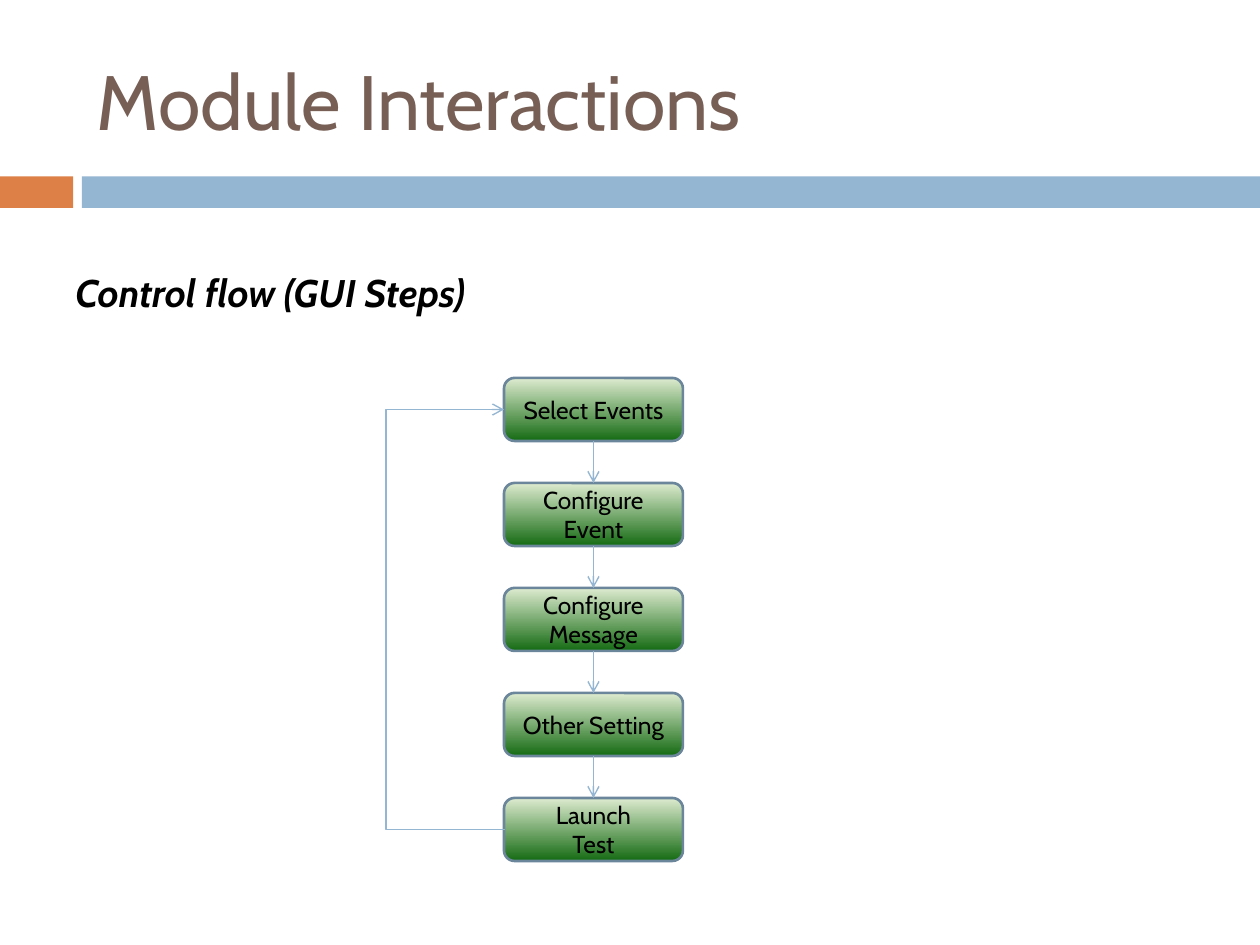
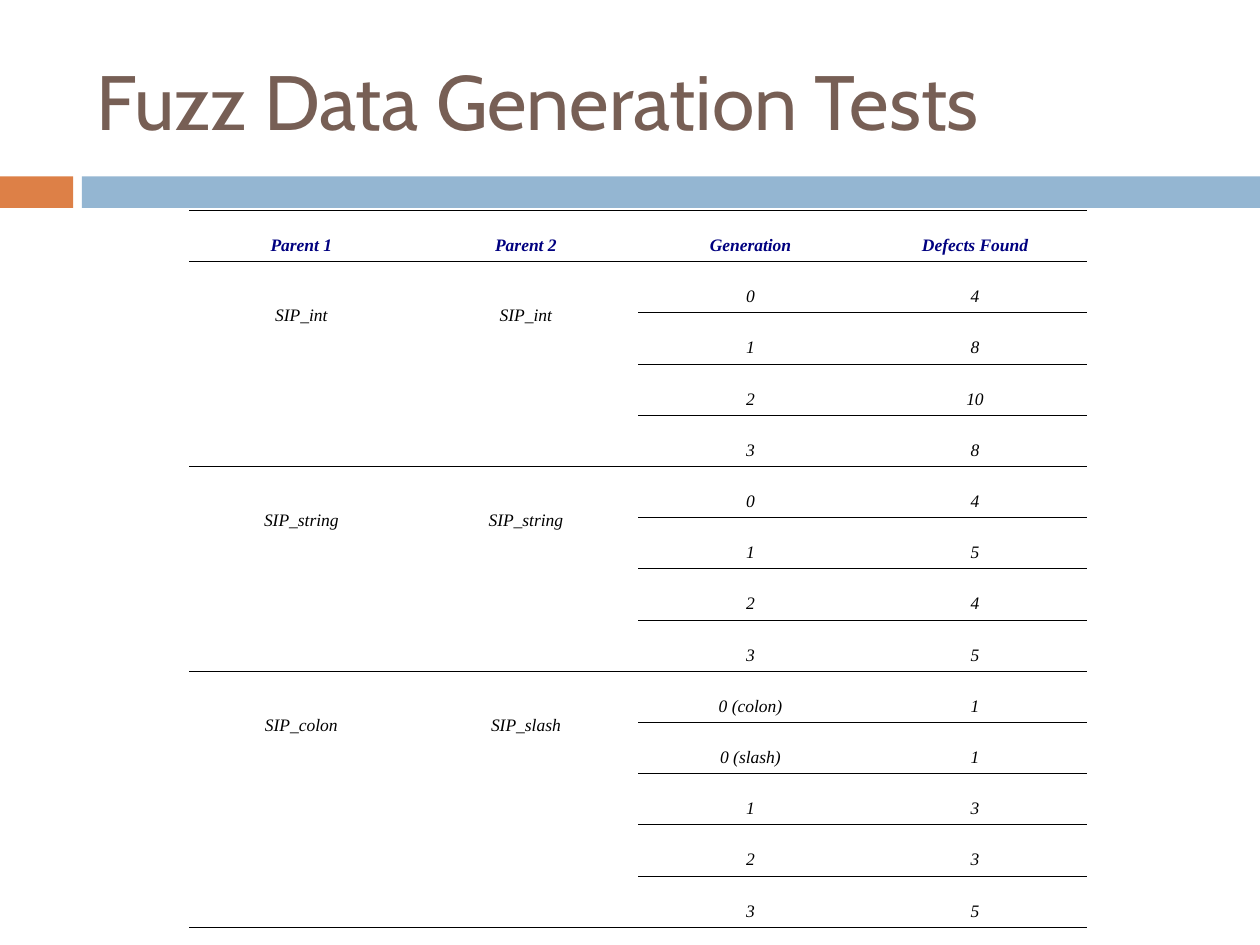
from dataclasses import dataclass

from lxml.etree import SubElement
from pptx import Presentation
from pptx.dml.color import RGBColor
from pptx.enum.shapes import MSO_CONNECTOR, MSO_SHAPE
from pptx.enum.text import MSO_ANCHOR, PP_ALIGN
from pptx.oxml.ns import qn
from pptx.util import Inches, Pt


@dataclass(frozen=True)
class Theme:
    heading: str = "775F55"
    accent: str = "DD8047"
    band: str = "94B6D2"
    step_top: str = "DDEBCF"
    step_bottom: str = "156B13"
    step_edge: str = "6B859A"
    table_head: str = "000080"
    ink: str = "000000"
    font: str = "Cabin"
    table_font: str = "Times New Roman"
    title_size: float = 44
    subtitle_size: float = 22
    step_size: float = 14
    table_size: float = 10
    step_line: float = 1.5
    arrow_line: float = 0.79
    rule: float = 0.45
    heavy_rule: float = 0.75


THEME = Theme()

STEPS = ["Select Events", "Configure Event", "Configure Message",
         "Other Setting", "Launch\nTest"]
STEP_LEFT, STEP_TOP, STEP_WIDTH, STEP_HEIGHT = 4, 3, 1.42, 0.5
STEP_PITCH = 2.5 / 3
LOOP_REACH, LOOP_WIDTH = 0.96, 0.01

HEADINGS = ["Parent 1", "Parent 2", "Generation", "Defects Found"]
PAIRINGS = [
    ("SIP_int", "SIP_int", [("0", 4), ("1", 8), ("2", 10), ("3", 8)]),
    ("SIP_string", "SIP_string", [("0", 4), ("1", 5), ("2", 4), ("3", 5)]),
    ("SIP_colon", "SIP_slash",
     [("0 (colon)", 1), ("0 (slash)", 1), ("1", 3), ("2", 3), ("3", 5)]),
]


def rgb(code):
    return RGBColor.from_string(code)


def write(frame, text, *, size, color=THEME.ink, font=THEME.font, bold=False,
          italic=False, align=PP_ALIGN.LEFT, spacing=None):
    """Fill a text frame, one paragraph for each line of text."""
    frame.word_wrap = True
    frame.text = text
    for paragraph in frame.paragraphs:
        paragraph.alignment = align
        if spacing:
            paragraph.line_spacing = spacing
        for run in paragraph.runs:
            run.font.name = font
            run.font.size = Pt(size)
            run.font.bold = bold
            run.font.italic = italic
            run.font.color.rgb = rgb(color)


def add_text(slide, left, top, width, height, text, anchor, **style):
    box = slide.shapes.add_textbox(
        Inches(left), Inches(top), Inches(width), Inches(height))
    write(box.text_frame, text, **style)
    box.text_frame.vertical_anchor = anchor


def add_band(slide, left, width, color):
    band = slide.shapes.add_shape(
        MSO_SHAPE.RECTANGLE, Inches(left), Inches(1.4), Inches(width), Inches(0.25))
    band.shadow.inherit = False
    band.fill.solid()
    band.fill.fore_color.rgb = rgb(color)
    band.line.fill.background()


def add_titled_slide(deck, title):
    slide = deck.slides.add_slide(deck.slide_layouts[6])
    add_band(slide, 0, 0.58, THEME.accent)
    add_band(slide, 0.65, 9.35, THEME.band)
    add_text(slide, 0.67, 0.25, 8.92, 1.08, title, MSO_ANCHOR.MIDDLE,
             size=THEME.title_size, color=THEME.heading)
    return slide


# Flow chart parts
def add_step(slide, top, label):
    step = slide.shapes.add_shape(
        MSO_SHAPE.ROUNDED_RECTANGLE, Inches(STEP_LEFT), Inches(top),
        Inches(STEP_WIDTH), Inches(STEP_HEIGHT))
    step.shadow.inherit = False
    step.fill.gradient()
    step.fill.gradient_angle = 270
    for stop, color in zip(step.fill.gradient_stops,
                           (THEME.step_top, THEME.step_bottom)):
        stop.color.rgb = rgb(color)
    step.line.color.rgb = rgb(THEME.step_edge)
    step.line.width = Pt(THEME.step_line)
    write(step.text_frame, label, size=THEME.step_size, align=PP_ALIGN.CENTER)
    step.text_frame.vertical_anchor = MSO_ANCHOR.MIDDLE
    return step


def add_arrow(slide, kind, start, end):
    arrow = slide.shapes.add_connector(kind, *start, *end)
    arrow.line.color.rgb = rgb(THEME.band)
    arrow.line.width = Pt(THEME.arrow_line)
    properties = arrow._element.spPr
    SubElement(properties.find(qn("a:ln")), qn("a:tailEnd"), type="arrow")
    SubElement(properties, qn("a:effectLst"))
    return arrow


def add_down_arrow(slide, upper, lower):
    middle = upper.left + upper.width // 2
    arrow = add_arrow(slide, MSO_CONNECTOR.STRAIGHT,
                      (middle, upper.top + upper.height), (middle, lower.top))
    arrow.begin_connect(upper, 2)
    arrow.end_connect(lower, 0)


def add_loop_back(slide, first, last):
    """Run from the last step out to the left and back to the first."""
    loop = add_arrow(slide, MSO_CONNECTOR.ELBOW,
                     (first.left, first.top + first.height // 2),
                     (first.left + Inches(LOOP_WIDTH), last.top + last.height // 2))
    # A half turn makes the elbow start at the bottom
    properties = loop._element.spPr
    properties.find(qn("a:xfrm")).set("rot", str(180 * 60000))
    guides = properties.find(qn("a:prstGeom")).get_or_add_avLst()
    reach = round(LOOP_REACH / LOOP_WIDTH * 100000)
    SubElement(guides, qn("a:gd"), name="adj1", fmla=f"val {reach}")


# Table parts
def set_rules(cell, top, bottom):
    """Draw the horizontal rules of a cell; a width of None leaves one out."""
    properties = cell._tc.get_or_add_tcPr()
    widths = {"a:lnL": None, "a:lnR": None, "a:lnT": top, "a:lnB": bottom}
    for position, (tag, width) in enumerate(widths.items()):
        rule = SubElement(properties, qn(tag))
        properties.insert(position, rule)
        if width is None:
            SubElement(rule, qn("a:noFill"))
        else:
            rule.set("w", str(Pt(width)))
            fill = SubElement(rule, qn("a:solidFill"))
            SubElement(fill, qn("a:srgbClr"), val=THEME.ink)


def fill_cell(cell, text, *, top, bottom, margin_top=0.05, **style):
    cell.margin_left = cell.margin_right = Inches(0.06)
    cell.margin_top, cell.margin_bottom = Inches(margin_top), Inches(0.02)
    cell.fill.background()
    set_rules(cell, top, bottom)
    write(cell.text_frame, text, size=THEME.table_size, font=THEME.table_font,
          italic=True, align=PP_ALIGN.CENTER, spacing=2.0, **style)


def add_defect_table(slide):
    row_count = 1 + sum(len(results) for _, _, results in PAIRINGS)
    width, height = Inches(7.13), Inches(5.69)
    table = slide.shapes.add_table(
        row_count, len(HEADINGS), Inches(1.5), Inches(1.67), width, height).table
    table.first_row = table.horz_banding = False
    for row in table.rows:
        row.height = height // row_count

    for column, heading in enumerate(HEADINGS):
        fill_cell(table.cell(0, column), heading, top=THEME.heavy_rule,
                  bottom=THEME.heavy_rule, color=THEME.table_head, bold=True)

    def rule_above(row):
        return THEME.heavy_rule if row in (1, row_count) else THEME.rule

    first = 1
    for *parents, results in PAIRINGS:
        last = first + len(results) - 1
        # Each parent spans the rows of its generations
        for column, parent in enumerate(parents):
            span = table.cell(first, column)
            span.merge(table.cell(last, column))
            fill_cell(span, parent, top=rule_above(first),
                      bottom=rule_above(last + 1), margin_top=0.2)
            for row in range(first + 1, last + 1):
                set_rules(table.cell(row, column), None,
                          rule_above(row + 1) if row == last else None)
        for row, result in enumerate(results, first):
            for column, value in enumerate(result, len(parents)):
                fill_cell(table.cell(row, column), str(value),
                          top=rule_above(row), bottom=rule_above(row + 1))
        first = last + 1


def main():
    deck = Presentation()
    deck.slide_width, deck.slide_height = Inches(10), Inches(7.5)

    # Control flow
    flow = add_titled_slide(deck, "Module Interactions")
    add_text(flow, 0.5, 1.62, 9, 0.93, "Control flow (GUI Steps)",
             MSO_ANCHOR.BOTTOM, size=THEME.subtitle_size, bold=True, italic=True)
    steps = [add_step(flow, STEP_TOP + index * STEP_PITCH, label)
             for index, label in enumerate(STEPS)]
    for upper, lower in zip(steps, steps[1:]):
        add_down_arrow(flow, upper, lower)
    add_loop_back(flow, steps[0], steps[-1])

    # Defects by generation
    tests = add_titled_slide(deck, "Fuzz Data Generation Tests")
    add_defect_table(tests)

    deck.save("out.pptx")


if __name__ == "__main__":
    main()
